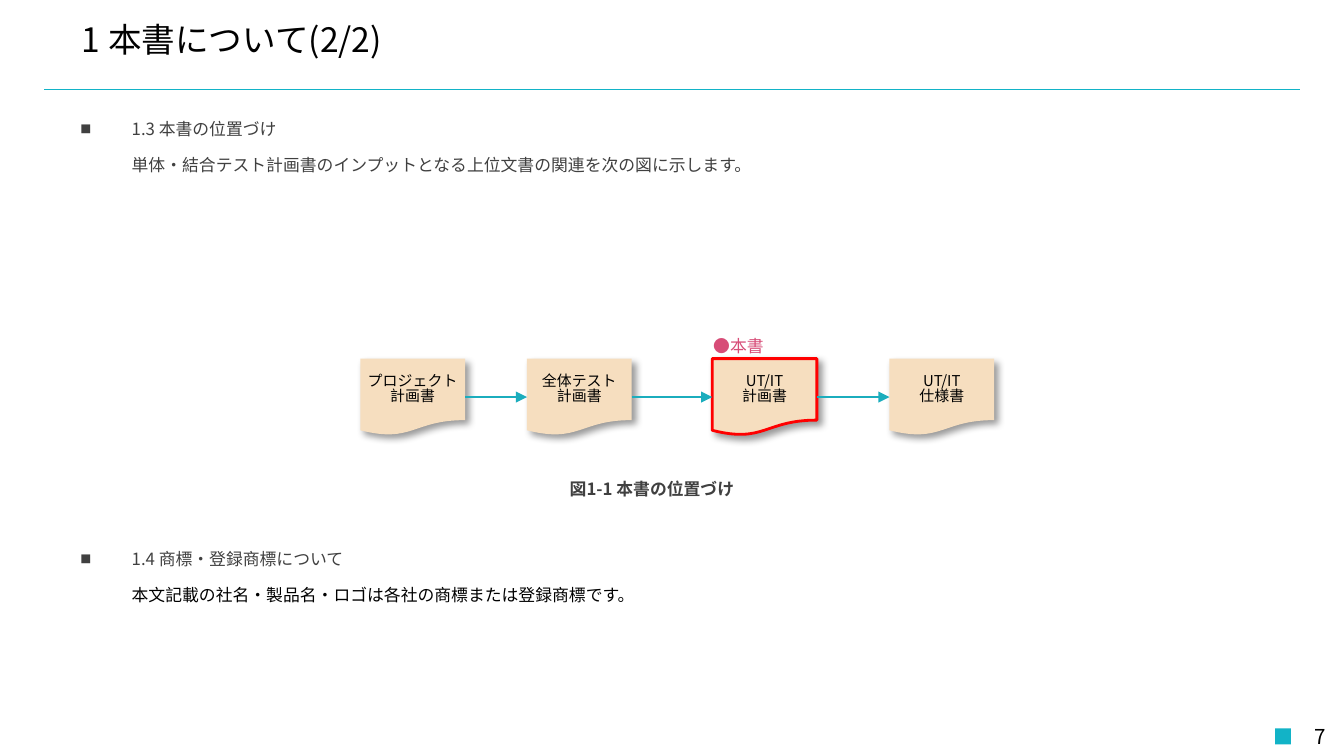
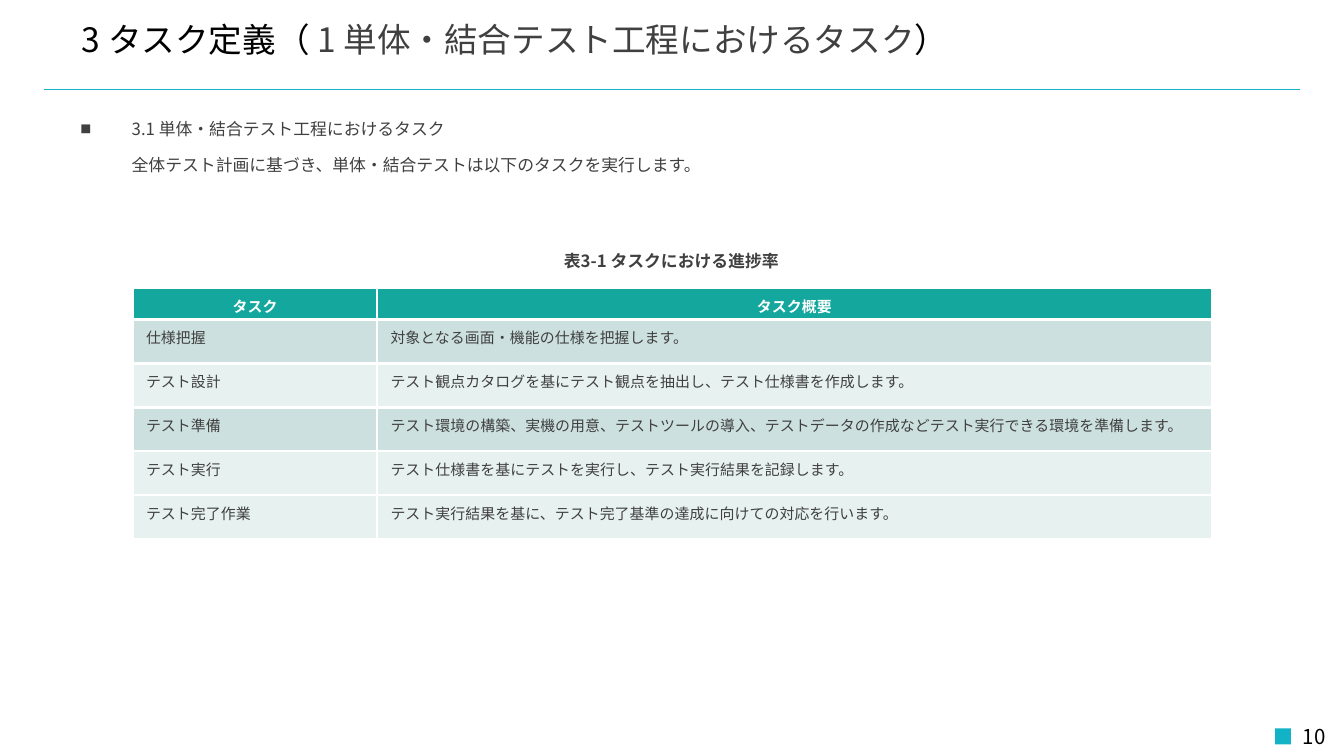
from dataclasses import dataclass
from itertools import pairwise

from lxml.etree import SubElement
from pptx import Presentation
from pptx.dml.color import RGBColor
from pptx.enum.shapes import MSO_CONNECTOR, MSO_SHAPE
from pptx.enum.text import MSO_ANCHOR, PP_ALIGN
from pptx.oxml.ns import qn
from pptx.util import Cm, Pt

FONT = "Noto Sans CJK JP"
BLACK = RGBColor(0x00, 0x00, 0x00)
WHITE = RGBColor(0xFF, 0xFF, 0xFF)
GRAY = RGBColor(0x40, 0x40, 0x40)
CYAN = RGBColor(0x12, 0xB3, 0xC7)
ARROW = RGBColor(0x1B, 0xAD, 0xBD)
PAPER = RGBColor(0xF6, 0xDE, 0xBF)
RED = RGBColor(0xFF, 0x00, 0x00)
PINK = RGBColor(0xD7, 0x4C, 0x77)
HEADER = RGBColor(0x14, 0xA7, 0x9D)
BAND_DARK = RGBColor(0xCC, 0xE1, 0xDF)
BAND_LIGHT = RGBColor(0xE7, 0xF1, 0xF0)


@dataclass(frozen=True)
class Box:
    left: float
    top: float
    width: float
    height: float

    def lengths(self):
        return Cm(self.left), Cm(self.top), Cm(self.width), Cm(self.height)


@dataclass(frozen=True)
class Section:
    top: float
    heading: str
    sentence: str
    sentence_color: RGBColor = GRAY


@dataclass(frozen=True)
class Document:
    left: float
    lines: tuple[str, str]
    is_current: bool = False


@dataclass(frozen=True)
class Task:
    name: str
    summary: str
    fill: RGBColor


SECTIONS_1 = [
    Section(2.16, "1.3 本書の位置づけ",
            "単体・結合テスト計画書のインプットとなる上位文書の関連を次の図に示します。"),
    Section(10.29, "1.4 商標・登録商標について",
            "本文記載の社名・製品名・ロゴは各社の商標または登録商標です。", BLACK),
]
SECTION_3 = Section(2.16, "3.1 単体・結合テスト工程におけるタスク",
                    "全体テスト計画に基づき、単体・結合テストは以下のタスクを実行します。")
DOCUMENTS = [
    Document(6.81, ("プロジェクト", "計画書")),
    Document(9.96, ("全体テスト", "計画書")),
    Document(13.46, ("UT/IT", "計画書"), is_current=True),
    Document(16.81, ("UT/IT", "仕様書")),
]
TASKS = [
    Task("仕様把握", "対象となる画面・機能の仕様を把握します。", BAND_DARK),
    Task("テスト設計", "テスト観点カタログを基にテスト観点を抽出し、テスト仕様書を作成します。",
         BAND_LIGHT),
    Task("テスト準備",
         "テスト環境の構築、実機の用意、テストツールの導入、テストデータの作成などテスト実行できる環境を準備します。",
         BAND_DARK),
    Task("テスト実行", "テスト仕様書を基にテストを実行し、テスト実行結果を記録します。",
         BAND_LIGHT),
    Task("テスト完了作業", "テスト実行結果を基に、テスト完了基準の達成に向けての対応を行います。",
         BAND_LIGHT),
]


def style(paragraph, size: float, color: RGBColor, bold: bool = False,
          align: PP_ALIGN = PP_ALIGN.LEFT) -> None:
    paragraph.alignment = align
    font = paragraph.font
    font.size, font.bold, font.name = Pt(size), bold, FONT
    font.color.rgb = color
    defaults = paragraph._p.get_or_add_pPr().find(qn("a:defRPr"))
    SubElement(defaults, qn("a:ea"), typeface=FONT)


def add_frame(slide, box: Box, inset: float = 0.08, wrap: bool = True,
              anchor: MSO_ANCHOR = MSO_ANCHOR.TOP):
    frame = slide.shapes.add_textbox(*box.lengths()).text_frame
    frame.word_wrap = wrap
    frame.vertical_anchor = anchor
    frame.margin_top = frame.margin_bottom = Cm(inset)
    return frame


def add_line(slide, color: RGBColor, width: float, start=(0, 0), end=(0, 0)):
    line = slide.shapes.add_connector(
        MSO_CONNECTOR.STRAIGHT, *(Cm(value) for value in (*start, *end)))
    line.line.color.rgb = color
    line.line.width = Pt(width)
    SubElement(line._element.spPr, qn("a:effectLst"))
    return line


def add_base_slide(deck, number: int, title: list[tuple[str, RGBColor]]):
    slide = deck.slides.add_slide(deck.slide_layouts[6])
    add_line(slide, CYAN, 0.25, (0.84, 1.68), (24.56, 1.68))

    page = add_frame(slide, Box(21.77, 13.54, 3.53, 0.76),
                     anchor=MSO_ANCHOR.MIDDLE).paragraphs[0]
    page.text = str(number)
    style(page, 11, BLACK, align=PP_ALIGN.RIGHT)

    marker = slide.shapes.add_shape(MSO_SHAPE.RECTANGLE,
                                    *Box(24.1, 13.77, 0.3, 0.3).lengths())
    marker.shadow.inherit = False
    marker.fill.solid()
    marker.fill.fore_color.rgb = CYAN
    marker.line.fill.background()

    heading = add_frame(slide, Box(1.3, 0.36, 22.86, 1.02), inset=0).paragraphs[0]
    style(heading, 18, BLACK)
    for words, color in title:
        run = heading.add_run()
        run.text = words
        if color != BLACK:
            run.font.color.rgb = color
    return slide


def add_section(slide, section: Section) -> None:
    frame = add_frame(slide, Box(1.27, section.top, 22.86, 1.95))
    heading, sentence = frame.paragraphs[0], frame.add_paragraph()
    heading.text, sentence.text = section.heading, section.sentence

    bullet = heading._p.get_or_add_pPr()
    bullet.set("indent", str(-Cm(0.97)))
    SubElement(bullet, qn("a:buSzPct"), val="65000")
    SubElement(bullet, qn("a:buFont"), typeface=FONT)
    SubElement(bullet, qn("a:buChar"), char="■")

    for paragraph in (heading, sentence):
        paragraph._p.get_or_add_pPr().set("marL", str(Cm(0.97)))
    sentence.space_before = Pt(8.4)
    style(heading, 9, GRAY)
    style(sentence, 9, section.sentence_color)


def add_caption(slide, words: str, box: Box) -> None:
    caption = add_frame(slide, box).paragraphs[0]
    caption.text = words
    caption.line_spacing = 1.3
    style(caption, 9, GRAY, bold=True, align=PP_ALIGN.CENTER)


def add_shadow(shape) -> None:
    shape.shadow.inherit = False
    effects = shape._element.spPr.find(qn("a:effectLst"))
    shadow = SubElement(effects, qn("a:outerShdw"), blurRad=str(Pt(4)),
                        dist=str(Pt(3)), dir="2700000", algn="tl", rotWithShape="0")
    color = SubElement(shadow, qn("a:srgbClr"), val=str(BLACK))
    SubElement(color, qn("a:alpha"), val="40000")


def add_document(slide, document: Document):
    paper = slide.shapes.add_shape(MSO_SHAPE.FLOWCHART_DOCUMENT,
                                   *Box(document.left, 6.78, 1.98, 1.45).lengths())
    paper.fill.solid()
    paper.fill.fore_color.rgb = PAPER
    if document.is_current:
        paper.line.color.rgb = RED
        paper.line.width = Pt(1.5)
    else:
        paper.line.fill.background()
    add_shadow(paper)

    frame = paper.text_frame
    frame.word_wrap = False
    frame.vertical_anchor = MSO_ANCHOR.MIDDLE
    frame.margin_left = frame.margin_right = Cm(0.38)
    frame.margin_top = frame.margin_bottom = Cm(0.2)
    frame.text = "\n".join(document.lines)
    for paragraph in frame.paragraphs:
        paragraph.line_spacing = 0.83
        style(paragraph, 8, BLACK, align=PP_ALIGN.CENTER)
    return paper


def add_arrow(slide, source, target) -> None:
    arrow = add_line(slide, ARROW, 1.25)
    arrow.begin_connect(source, 3)
    arrow.end_connect(target, 1)
    SubElement(arrow.line._get_or_add_ln(), qn("a:tailEnd"), type="triangle")


def fill_cell(cell, words: str, fill: RGBColor, is_header: bool) -> None:
    properties = cell._tc.get_or_add_tcPr()
    for side in ("a:lnL", "a:lnR", "a:lnT", "a:lnB"):
        border = SubElement(properties, qn(side), w=str(Pt(1.48)))
        solid = SubElement(border, qn("a:solidFill"))
        SubElement(solid, qn("a:srgbClr"), val=str(WHITE))
    cell.fill.solid()
    cell.fill.fore_color.rgb = fill
    cell.margin_left = cell.margin_right = Cm(0.25)
    cell.margin_top = cell.margin_bottom = Cm(0.13)
    paragraph = cell.text_frame.paragraphs[0]
    paragraph.text = words
    style(paragraph, 8, WHITE if is_header else GRAY, bold=is_header,
          align=PP_ALIGN.CENTER if is_header else PP_ALIGN.LEFT)


def add_task_table(slide) -> None:
    rows = [Task("タスク", "タスク概要", HEADER), *TASKS]
    table = slide.shapes.add_table(len(rows), 2,
                                   *Box(2.51, 5.44, 20.39, 4.73).lengths()).table
    table.horz_banding = False
    for column, width in zip(table.columns, (4.62, 15.77)):
        column.width = Cm(width)
    for index, task in enumerate(rows):
        table.rows[index].height = Cm(0.83 if index else 0.58)
        for column, words in enumerate((task.name, task.summary)):
            fill_cell(table.cell(index, column), words, task.fill, index == 0)


def build_position_slide(deck) -> None:
    slide = add_base_slide(deck, 7, [("1 本書について(2/2)", BLACK)])
    for section in SECTIONS_1:
        add_section(slide, section)
    papers = [add_document(slide, document) for document in DOCUMENTS]
    for source, target in pairwise(papers):
        add_arrow(slide, source, target)
    add_caption(slide, "図1-1 本書の位置づけ", Box(9.02, 8.86, 6.6, 0.66))
    current = add_frame(slide, Box(13.23, 6.27, 1.47, 0.64), wrap=False).paragraphs[0]
    current.text = "●本書"
    style(current, 9, PINK)


def build_task_slide(deck) -> None:
    slide = add_base_slide(deck, 10, [
        ("3 タスク定義（", BLACK),
        (" 1 単体・結合テスト工程におけるタスク", GRAY),
        ("）", BLACK),
    ])
    add_section(slide, SECTION_3)
    add_caption(slide, "表3-1 タスクにおける進捗率", Box(7.16, 4.55, 11.05, 0.66))
    add_task_table(slide)


deck = Presentation()
deck.slide_width, deck.slide_height = Cm(25.4), Cm(14.29)
build_position_slide(deck)
build_task_slide(deck)
deck.save("out.pptx")
